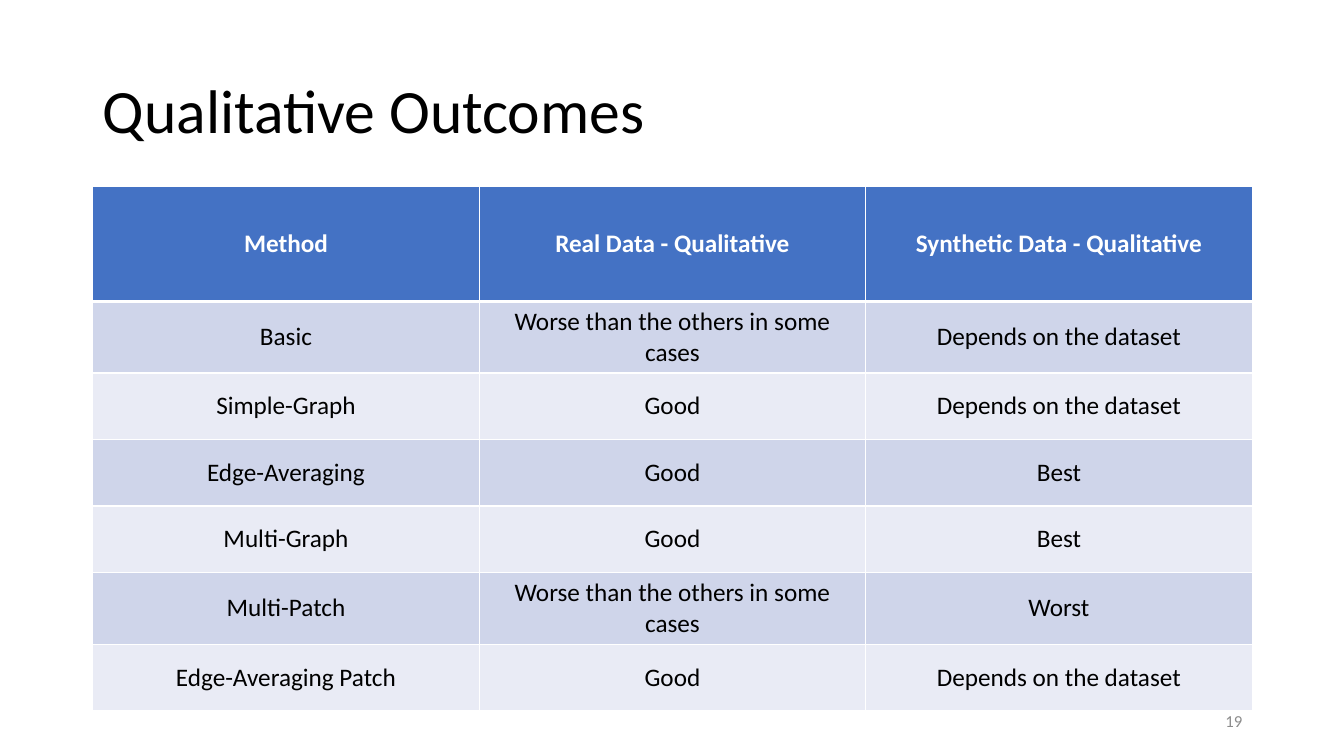
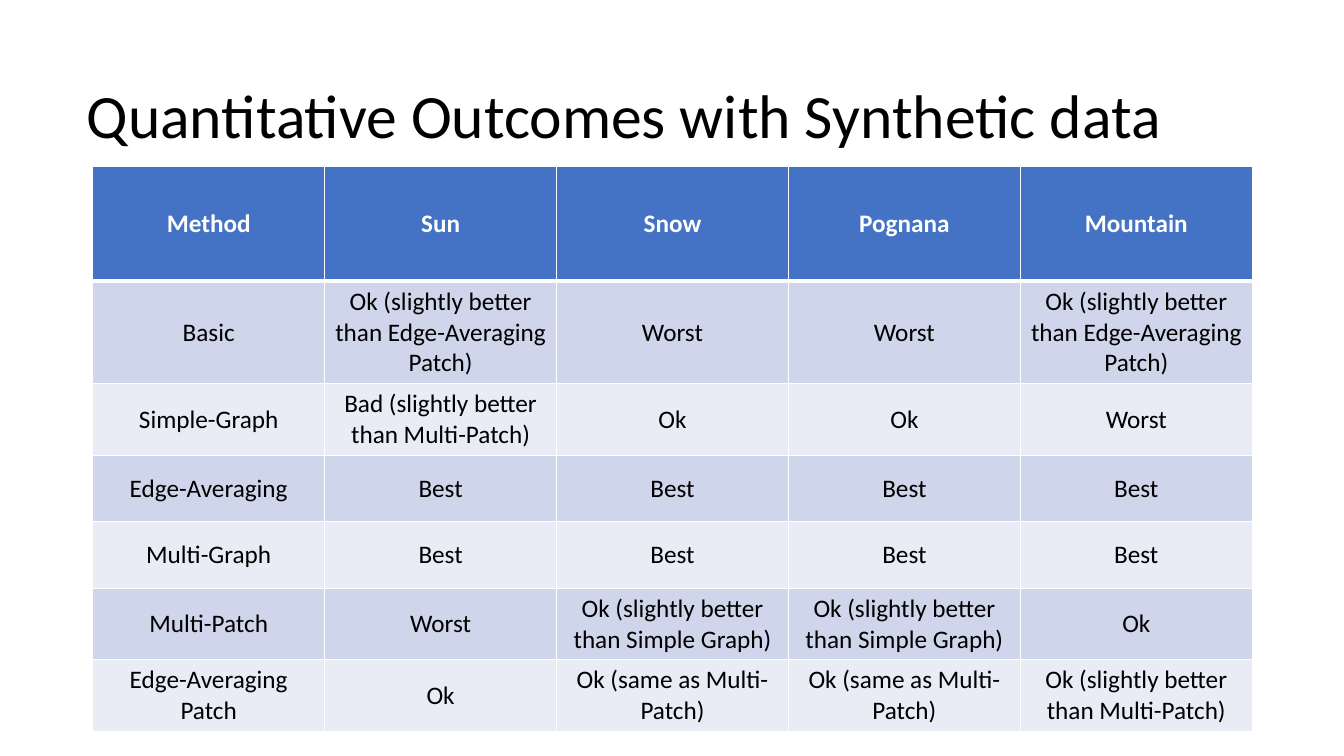
import lxml.etree
import pptx
import pptx.dml.color
import pptx.enum.text
import pptx.oxml.ns
import pptx.util

Inches = pptx.util.Inches
Pt = pptx.util.Pt
ALIGN = pptx.enum.text.PP_ALIGN
MIDDLE = pptx.enum.text.MSO_ANCHOR.MIDDLE


def color(value):
    """Turn a hex string into a colour."""
    return pptx.dml.color.RGBColor.from_string(value)


class Deck:
    """Hold the shared style and the current slide."""

    FONT = "Calibri"
    BLACK, WHITE, GRAY = "000000", "FFFFFF", "8C8C8C"
    HEADER, BANDS = "4472C4", ("CFD5EA", "E9EBF5")
    LEFT, WIDTH = 0.92, 11.5
    HEADER_HEIGHT, ROW_HEIGHT = 1.14, 0.66

    def __init__(self):
        """Start a widescreen presentation."""
        self.deck = pptx.Presentation()
        self.deck.slide_width = Inches(13.33)
        self.deck.slide_height = Inches(7.5)
        self.page = None

    def style(self, para, size, ink, align, bold=False):
        """Format one paragraph."""
        para.alignment = align
        para.font.name = self.FONT
        para.font.size = Pt(size)
        para.font.bold = bold
        para.font.color.rgb = color(ink)

    def add_page(self, title, left, top, width):
        """Add a slide and place its title."""
        self.page = self.deck.slides.add_slide(self.deck.slide_layouts[5])
        box = self.page.shapes.title
        box.left, box.top = Inches(left), Inches(top)
        box.width, box.height = Inches(width), Inches(1.45)
        frame = box.text_frame
        frame.text = title
        frame.word_wrap = True
        frame.auto_size = pptx.enum.text.MSO_AUTO_SIZE.NONE
        frame.vertical_anchor = MIDDLE
        self.style(frame.paragraphs[0], 44, self.BLACK, ALIGN.LEFT)
        frame.paragraphs[0].line_spacing = 0.9

    def add_borders(self, cell, top, bottom):
        """Draw white borders round a cell."""
        properties = cell._tc.get_or_add_tcPr()
        for side, points in (("L", 1), ("R", 1), ("T", top), ("B", bottom)):
            line = lxml.etree.SubElement(
                properties, pptx.oxml.ns.qn(f"a:ln{side}"), w=str(Pt(points)))
            fill = lxml.etree.SubElement(line, pptx.oxml.ns.qn("a:solidFill"))
            lxml.etree.SubElement(
                fill, pptx.oxml.ns.qn("a:srgbClr"), val=self.WHITE)

    def add_table(self, top, rows):
        """Add a banded table whose first row is the header."""
        height = self.HEADER_HEIGHT + self.ROW_HEIGHT * (len(rows) - 1)
        table = self.page.shapes.add_table(
            len(rows), len(rows[0]), Inches(self.LEFT), Inches(top),
            Inches(self.WIDTH), Inches(height)).table
        for column in table.columns:
            column.width = Inches(self.WIDTH / len(rows[0]))
        for index, texts in enumerate(rows):
            header = index == 0
            table.rows[index].height = Inches(
                self.HEADER_HEIGHT if header else self.ROW_HEIGHT)
            for place, text in enumerate(texts):
                cell = table.cell(index, place)
                cell.text = text
                cell.vertical_anchor = MIDDLE
                self.style(cell.text_frame.paragraphs[0], 18,
                           self.WHITE if header else self.BLACK,
                           ALIGN.CENTER, header)
                self.add_borders(cell, 3 if index == 1 else 1,
                                 3 if header else 1)
                cell.fill.solid()
                cell.fill.fore_color.rgb = color(
                    self.HEADER if header else self.BANDS[(index - 1) % 2])

    def add_number(self, number):
        """Add the page number at the bottom right."""
        box = self.page.shapes.add_textbox(
            Inches(9.42), Inches(6.95), Inches(3), Inches(0.4))
        frame = box.text_frame
        frame.word_wrap = True
        frame.vertical_anchor = MIDDLE
        frame.text = number
        self.style(frame.paragraphs[0], 12, self.GRAY, ALIGN.RIGHT)

    def save(self):
        """Save the presentation."""
        self.deck.save("out.pptx")


QUALITATIVE = [
    ("Method", "Real Data - Qualitative", "Synthetic Data - Qualitative"),
    ("Basic", "Worse than the others in some cases", "Depends on the dataset"),
    ("Simple-Graph", "Good", "Depends on the dataset"),
    ("Edge-Averaging", "Good", "Best"),
    ("Multi-Graph", "Good", "Best"),
    ("Multi-Patch", "Worse than the others in some cases", "Worst"),
    ("Edge-Averaging Patch", "Good", "Depends on the dataset"),
]

QUANTITATIVE = [
    ("Method", "Sun", "Snow", "Pognana", "Mountain"),
    ("Basic", "Ok (slightly better than Edge-Averaging Patch)", "Worst",
     "Worst", "Ok (slightly better than Edge-Averaging Patch)"),
    ("Simple-Graph", "Bad (slightly better than Multi-Patch)", "Ok", "Ok",
     "Worst"),
    ("Edge-Averaging", "Best", "Best", "Best", "Best"),
    ("Multi-Graph", "Best", "Best", "Best", "Best"),
    ("Multi-Patch", "Worst", "Ok (slightly better than Simple Graph)",
     "Ok (slightly better than Simple Graph)", "Ok"),
    ("Edge-Averaging Patch", "Ok", "Ok (same as Multi-Patch)",
     "Ok (same as Multi-Patch)", "Ok (slightly better than Multi-Patch)"),
]


def main():
    """Build both result slides."""
    deck = Deck()
    deck.add_page("Qualitative Outcomes", 0.92, 0.4, 11.5)
    deck.add_table(1.85, QUALITATIVE)
    deck.add_number("19")
    deck.add_page("Quantitative Outcomes with Synthetic data",
                  0.76, 0.45, 11.82)
    deck.add_table(1.65, QUANTITATIVE)
    deck.save()


if __name__ == "__main__":
    main()
